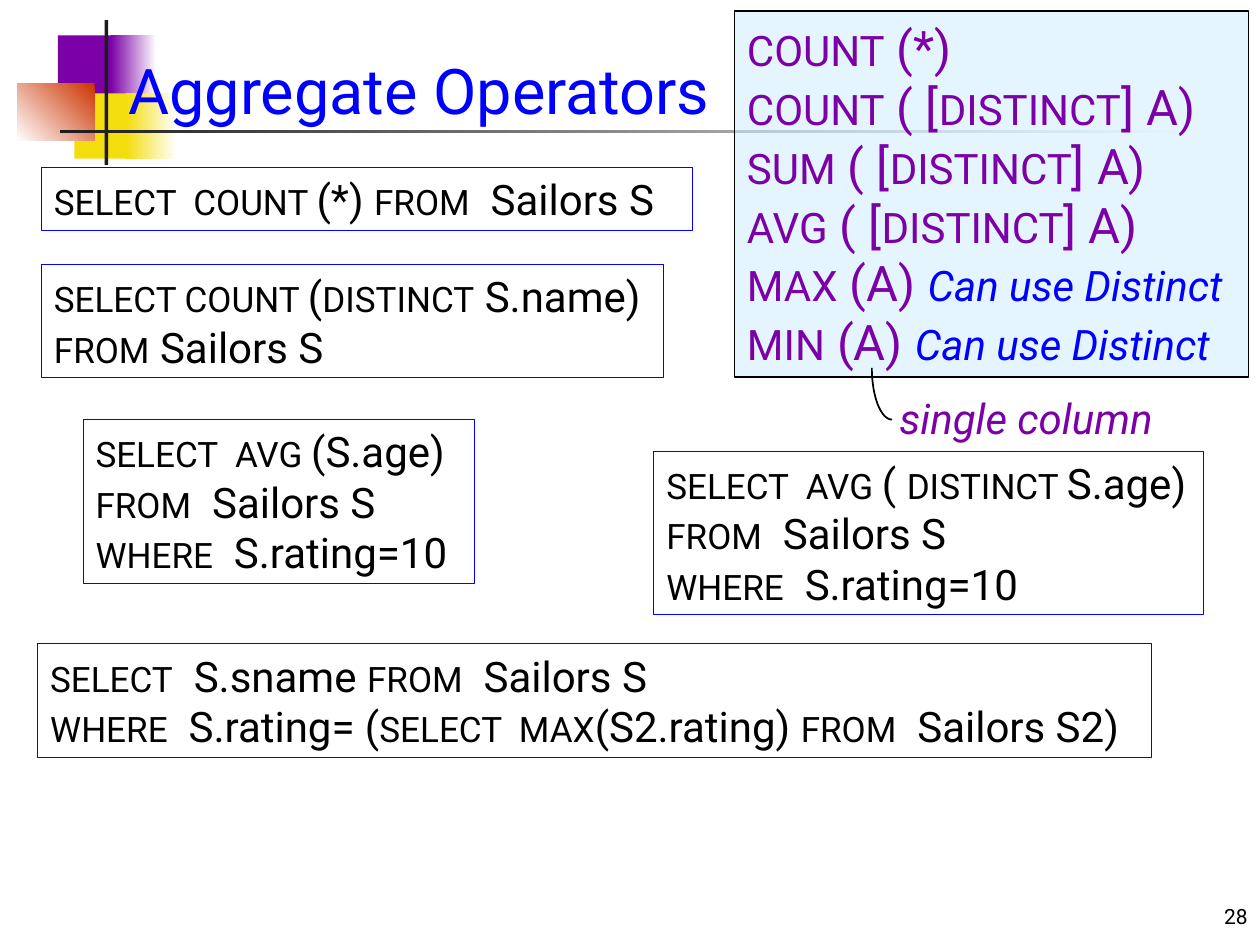
from dataclasses import dataclass
from math import cos, pi, sin

from lxml.etree import SubElement
from pptx import Presentation
from pptx.dml.color import RGBColor
from pptx.enum.shapes import MSO_SHAPE as Preset
from pptx.enum.text import MSO_ANCHOR as Anchor, MSO_AUTO_SIZE as AutoSize, PP_ALIGN as Align
from pptx.oxml.ns import qn
from pptx.util import Inches, Pt

COLORS = {
    "purple": "7B00A6",
    "yellow": "F3DD0D",
    "orange": "CC3300",
    "dark": "1C1C1C",
    "white": "FFFFFF",
    "black": "000000",
    "blue": "0000FF",
    "sky": "CCECFF",
}
FONT = "Roboto"


@dataclass(frozen=True)
class Span:
    text: str
    size: int = 24
    color: str = "black"
    italic: bool = False


@dataclass(frozen=True)
class Area:
    left: float
    top: float
    width: float
    height: float

    def lengths(self) -> list:
        return [Inches(n) for n in (self.left, self.top, self.width, self.height)]


@dataclass(frozen=True)
class Block:
    area: Area
    fills: tuple[str, ...]
    angle: int = 180


@dataclass(frozen=True)
class Query:
    area: Area
    lines: list[list[Span]]
    wrap: bool = False


def rgb(name: str) -> RGBColor:
    return RGBColor.from_string(COLORS[name])


def keyword(text: str) -> Span:
    return Span(text, 20)


def operator(name: str, *rest: Span) -> list[Span]:
    return [Span(name, 24, "purple"), *rest]


def argument(text: str) -> Span:
    return Span(text, 28, "purple")


def add_block(page, block: Block) -> None:
    shape = page.shapes.add_shape(Preset.RECTANGLE, *block.area.lengths())
    shape.shadow.inherit = False
    shape.line.fill.background()
    if len(block.fills) == 1:
        shape.fill.solid()
        shape.fill.fore_color.rgb = rgb(block.fills[0])
        return
    shape.fill.gradient()
    shape.fill.gradient_angle = block.angle
    for stop, name in zip(shape.fill.gradient_stops, block.fills):
        stop.color.rgb = rgb(name)


def write(box, lines: list[list[Span]], wrap: bool = True, anchor=Anchor.TOP, align=Align.LEFT) -> None:
    frame = box.text_frame
    frame.word_wrap = wrap
    frame.vertical_anchor = anchor
    for index, spans in enumerate(lines):
        para = frame.add_paragraph() if index else frame.paragraphs[0]
        para.alignment = align
        for span in spans:
            run = para.add_run()
            run.text = span.text
            run.font.name = FONT
            run.font.size = Pt(span.size)
            run.font.italic = span.italic
            run.font.color.rgb = rgb(span.color)


def add_label(page, area: Area, span: Span, **options) -> None:
    write(page.shapes.add_textbox(*area.lengths()), [[span]], **options)


def add_panel(page, area: Area, lines: list[list[Span]], line: str, weight: float, wrap: bool):
    shape = page.shapes.add_shape(Preset.RECTANGLE, *area.lengths())
    shape.shadow.inherit = False
    shape.fill.background()
    shape.line.color.rgb = rgb(line)
    shape.line.width = Pt(weight)
    write(shape, lines, wrap)
    shape.text_frame.auto_size = AutoSize.SHAPE_TO_FIT_TEXT
    return shape


def add_pointer(page, center_x: float, center_y: float, width: float, height: float) -> None:
    steps = 24
    points = [
        (Inches(center_x - width * sin(pi / 2 * step / steps)),
         Inches(center_y + height * cos(pi / 2 * step / steps)))
        for step in range(steps + 1)
    ]
    builder = page.shapes.build_freeform(*points[0])
    builder.add_line_segments(points[1:], close=False)
    curve = builder.convert_to_shape()
    curve.shadow.inherit = False
    curve.fill.background()
    curve.line.color.rgb = rgb("black")
    curve.line.width = Pt(1)


BLOCKS = [
    Block(Area(0.46, 0.28, 0.48, 0.52), ("purple",)),
    Block(Area(0.88, 0.28, 0.36, 0.52), ("white", "purple")),
    Block(Area(0.59, 0.74, 0.46, 0.52), ("yellow",)),
    Block(Area(1, 0.74, 0.4, 0.52), ("white", "yellow")),
    Block(Area(0.14, 0.66, 0.61, 0.46), ("orange", "white"), 225),
    Block(Area(0.83, 0.16, 0.03, 1.15), ("dark",)),
    Block(Area(0.48, 1.03, 9, 0.03), ("white", "dark")),
]

DISTINCT_ARGUMENT = [argument(" ( ["), Span("DISTINCT", 24, "purple"), argument("] A)")]
PLAIN_ARGUMENT = [argument(" (A) "), Span("Can use Distinct", 24, "blue", True)]
OPERATORS = [
    operator("COUNT", argument(" (*)")),
    *[operator(name, *DISTINCT_ARGUMENT) for name in ("COUNT", "SUM", "AVG")],
    *[operator(name, *PLAIN_ARGUMENT) for name in ("MAX", "MIN")],
]

FROM_SAILORS = [keyword("FROM"), Span("  Sailors S")]
RATING_TEN = [FROM_SAILORS, [keyword("WHERE"), Span("  S.rating=10")]]
QUERIES = [
    Query(Area(0.66, 3.33, 3.11, 1.3), [[keyword("SELECT  AVG "), Span("(S.age)")], *RATING_TEN]),
    Query(Area(0.33, 1.33, 5.17, 0.5),
          [[keyword("SELECT  COUNT "), Span("(*) "), *FROM_SAILORS]], wrap=True),
    Query(Area(5.19, 3.58, 4.36, 1.3),
          [[keyword("SELECT  AVG "), Span("( "), keyword("DISTINCT "), Span("S.age)")], *RATING_TEN]),
    Query(Area(0.3, 5.11, 8.84, 0.9), [
        [keyword("SELECT"), Span("  S.sname "), *FROM_SAILORS],
        [keyword("WHERE"), Span("  S.rating= ("), keyword("SELECT  MAX"), Span("(S2.rating) "),
         keyword("FROM"), Span("  Sailors S2)")],
    ]),
    Query(Area(0.33, 2.1, 4.94, 0.9), [
        [keyword("SELECT COUNT "), Span("("), keyword("DISTINCT"), Span(" S.name)")],
        [keyword("FROM"), Span(" Sailors S")],
    ]),
]


def main() -> None:
    deck = Presentation()
    deck.slide_width, deck.slide_height = Inches(10), Inches(7.5)
    page = deck.slides.add_slide(deck.slide_layouts[6])

    for block in BLOCKS:
        add_block(page, block)
    add_label(page, Area(7.92, 6.92, 2.08, 0.5), Span("28", 12), anchor=Anchor.BOTTOM, align=Align.RIGHT)
    add_label(page, Area(0.92, 0.08, 8.83, 1.25), Span("Aggregate Operators", 36, "blue"),
              anchor=Anchor.MIDDLE)

    panel = add_panel(page, Area(5.83, 0.09, 4.08, 2.9), OPERATORS, "black", 1, True)
    panel.fill.solid()
    panel.fill.fore_color.rgb = rgb("sky")
    tint = panel.fill._xPr.find(qn("a:solidFill"))[0]
    SubElement(tint, qn("a:alpha"), val="50000")

    for query in QUERIES:
        add_panel(page, query.area, query.lines, "blue", 0.5, query.wrap)
    add_label(page, Area(7.04, 3.07, 2.26, 0.5), Span("single column", 24, "purple", True), wrap=False)
    add_pointer(page, 7.08, 2.92, 0.16, 0.41)

    deck.save("out.pptx")


if __name__ == "__main__":
    main()
